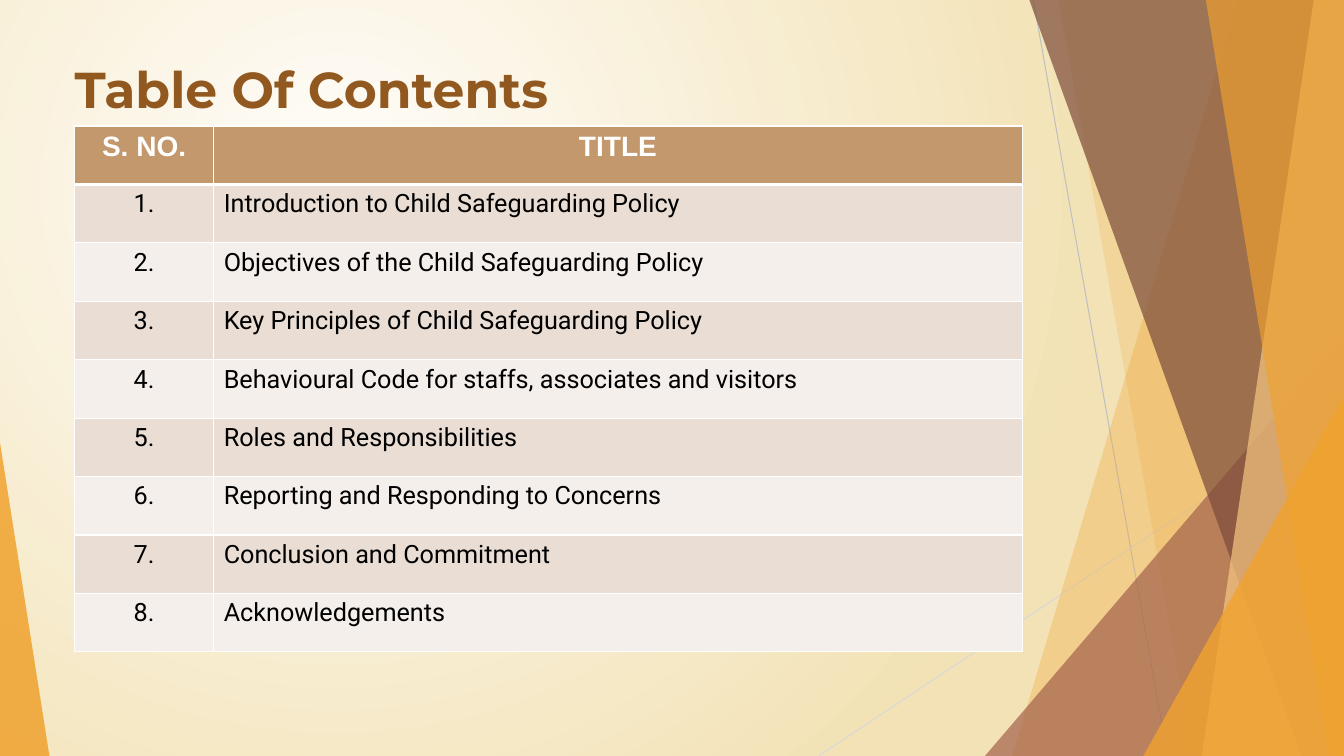
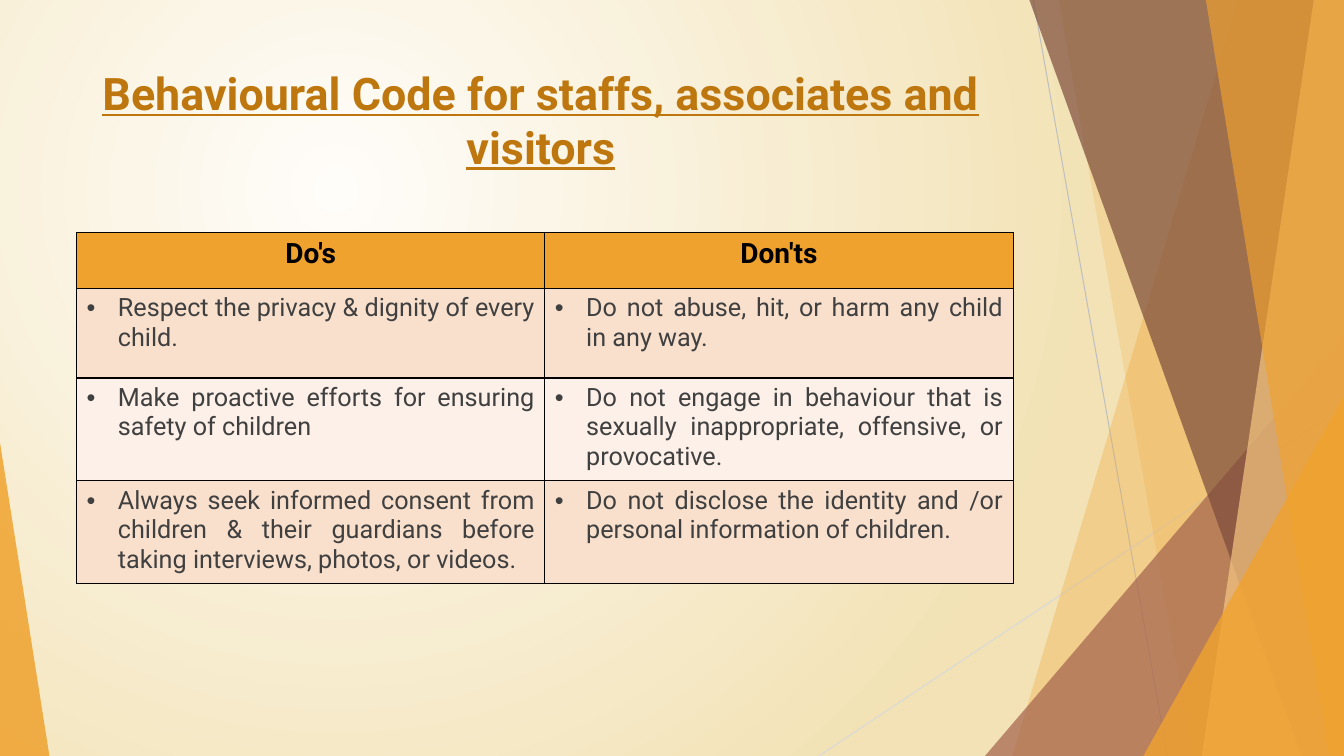
from lxml import etree
from pptx import Presentation
from pptx.dml.color import RGBColor
from pptx.enum.shapes import MSO_CONNECTOR, MSO_SHAPE
from pptx.enum.text import MSO_ANCHOR, MSO_AUTO_SIZE, PP_ALIGN
from pptx.oxml.ns import qn
from pptx.util import Inches, Pt

STRAIGHT = MSO_CONNECTOR.STRAIGHT
TRIANGLE = MSO_SHAPE.ISOSCELES_TRIANGLE
TOP, FIXED = MSO_ANCHOR.TOP, MSO_AUTO_SIZE.NONE
LEFT, CENTER, JUSTIFY = PP_ALIGN.LEFT, PP_ALIGN.CENTER, PP_ALIGN.JUSTIFY

AMBER, PALE_AMBER = "F0A22E", "F6C782"
BRICK, BROWN = "A5644E", "7C4B3B"
BLACK, WHITE, CHARCOAL = "000000", "FFFFFF", "404040"
BULLET_INDENT = Inches(0.31)

deck = Presentation()
deck.slide_width, deck.slide_height = Inches(13.33), Inches(7.5)
# All lengths below are percentages of the slide's width and height.
COLUMN, ROW = deck.slide_width / 100, deck.slide_height / 100


def place(*shares):
    """Turn alternating width and height percentages into lengths."""
    return [round(share * (ROW if index % 2 else COLUMN))
            for index, share in enumerate(shares)]


def paint(fill, colour, opacity=100):
    fill.solid()
    fill.fore_color.rgb = RGBColor.from_string(colour)
    if opacity < 100:
        element = fill._xPr.find(".//" + qn("a:srgbClr"))
        etree.SubElement(element, qn("a:alpha"), val=str(opacity * 1000))


# Shared background: a glow centred in the upper left
layout = deck.slide_layouts[5]
glow = layout.background.fill
glow.gradient()
for stop, position, colour in zip(glow.gradient_stops, (0, 1), ("FFFDFA", "F2E2B5")):
    stop.position = position
    stop.color.rgb = RGBColor.from_string(colour)
gradient = layout.element.find(".//" + qn("a:gradFill"))
gradient.remove(gradient.find(qn("a:lin")))
circle = etree.SubElement(gradient, qn("a:path"), path="circle")
etree.SubElement(circle, qn("a:fillToRect"), l="50000", t="50000", r="100000", b="100000")

# Shared decoration, drawn on the first page and then moved to the layout
first_page = deck.slides.add_slide(layout)
shapes = first_page.shapes
decoration = []

for ends, colour in [((76.89, 0, 86.87, 100), "BFBFBF"),
                     ((100, 53.73, 60.92, 100), "D9D9D9")]:
    line = shapes.add_connector(STRAIGHT, *place(*ends))
    line.line.width = Pt(0.75)
    paint(line.line.fill, colour)
    etree.SubElement(line.element.spPr, qn("a:effectLst"))
    decoration.append(line)

# A band is its left edge at top and bottom; a triangle is left, top, width, peak.
facets = [
    ("band", (92.12, 75.32), AMBER, 30),
    ("band", (78.77, 88.75), AMBER, 20),
    ("triangle", (73.29, 44.4, 26.71, 1), BRICK, 72),
    ("band", (76.59, 96.85), BROWN, 70),
    ("band", (97.75, 89.42), PALE_AMBER, 70),
    ("band", (89.72, 98.87), AMBER, 65),
    ("triangle", (85.07, 52.4, 14.93, 1), AMBER, 80),
    ("triangle", (0, 58.53, 3.68, 0), AMBER, 85),
]
for kind, geometry, colour, opacity in facets:
    if kind == "band":
        top_edge, bottom_edge = geometry
        outline = shapes.build_freeform(*place(top_edge, 0))
        outline.add_line_segments(
            [place(100, 0), place(100, 100), place(bottom_edge, 100)], close=True)
        facet = outline.convert_to_shape()
    else:
        left, top, width, peak = geometry
        facet = shapes.add_shape(TRIANGLE, *place(left, top, width, 100 - top))
        facet.adjustments[0] = peak
    facet.shadow.inherit = False
    facet.line.fill.background()
    paint(facet.fill, colour, opacity)
    decoration.append(facet)

for index, item in enumerate(decoration):
    item.element.find(".//" + qn("p:cNvPr")).set("id", str(20 + index))
    layout.shapes.element.insert(2 + index, item.element)

# Each page: a title and a table
topics = [
    "Introduction to Child Safeguarding Policy",
    "Objectives of the Child Safeguarding Policy",
    "Key Principles of Child Safeguarding Policy",
    "Behavioural Code for staffs, associates and visitors",
    "Roles and Responsibilities",
    "Reporting and Responding to Concerns",
    "Conclusion and Commitment",
    "Acknowledgements",
]
contents = {
    "title": "Table Of Contents",
    "title_box": (4.8, 7.07, 70.52, 19.2),
    "title_style": ("Montserrat", 36, "91581F", False, LEFT),
    "table_corner": (5.55, 16.67),
    "columns": [10.35, 60.16],
    "rows": [7.73] * 9,
    "cells": [("S. NO.", "TITLE")]
             + [(f"{number}.", topic) for number, topic in enumerate(topics, 1)],
    "header": ("Arial", WHITE, "C3986D"),
    "body_colour": BLACK,
    "body_fills": ("E9DDD4", "F5EFEB"),
    "body_alignment": (CENTER, LEFT),
    "bullets": False,
    "border": (WHITE, 1, 3),
}
code = {
    "title": topics[3],
    "title_box": (1.65, 8, 77.19, 15.6),
    "title_style": ("Roboto", 32, "BE770E", True, CENTER),
    "table_corner": (5.7, 30.8),
    "columns": [34.84, 34.84],
    "rows": [7.33, 11.87, 13.6, 13.6],
    "cells": [
        ("Do's", "Don'ts"),
        ("Respect the privacy & dignity of every child.",
         "Do not abuse, hit, or harm any child in any way."),
        ("Make proactive efforts for ensuring safety of children",
         "Do not engage in behaviour that is sexually inappropriate, offensive, or provocative."),
        ("Always seek informed consent from children & their guardians before taking "
         "interviews, photos, or videos.",
         "Do not disclose the identity and /or personal information of children."),
    ],
    "header": ("Roboto", BLACK, AMBER),
    "body_colour": CHARCOAL,
    "body_fills": ("F9E0CD", "FCF0E8"),
    "body_alignment": (JUSTIFY, JUSTIFY),
    "bullets": True,
    "border": (BLACK, 1, 1),
}

for page, content in [(first_page, contents), (deck.slides.add_slide(layout), code)]:
    title = page.shapes.title
    title.left, title.top, title.width, title.height = place(*content["title_box"])
    frame = title.text_frame
    frame.text = content["title"]
    frame.word_wrap, frame.auto_size, frame.vertical_anchor = True, FIXED, TOP
    font_name, size, colour, underline, alignment = content["title_style"]
    frame.paragraphs[0].alignment = alignment
    font = frame.paragraphs[0].runs[0].font
    font.name, font.size, font.bold, font.underline = font_name, Pt(size), True, underline
    paint(font.fill, colour)

    columns, rows = content["columns"], content["rows"]
    table = page.shapes.add_table(
        len(rows), len(columns),
        *place(*content["table_corner"], sum(columns), sum(rows))).table
    table.horz_banding = False
    for column, width in zip(table.columns, columns):
        column.width = round(width * COLUMN)
    for row, height in zip(table.rows, rows):
        row.height = round(height * ROW)

    header_font, header_colour, header_fill = content["header"]
    border_colour, thin, header_rule = content["border"]
    for row_index, texts in enumerate(content["cells"]):
        is_header = row_index == 0
        for column_index, text in enumerate(texts):
            cell = table.cell(row_index, column_index)
            cell.text = text
            properties = cell._tc.get_or_add_tcPr()
            widths = {"lnL": thin, "lnR": thin,
                      "lnT": header_rule if row_index == 1 else thin,
                      "lnB": header_rule if is_header else thin}
            for side, width in widths.items():
                border = etree.SubElement(properties, qn(f"a:{side}"), w=str(Pt(width)))
                solid = etree.SubElement(border, qn("a:solidFill"))
                etree.SubElement(solid, qn("a:srgbClr"), val=border_colour)
            paint(cell.fill, header_fill if is_header
                  else content["body_fills"][(row_index - 1) % 2])

            para = cell.text_frame.paragraphs[0]
            para.alignment = CENTER if is_header else content["body_alignment"][column_index]
            if content["bullets"] and not is_header:
                settings = para._p.get_or_add_pPr()
                settings.set("marL", str(BULLET_INDENT))
                settings.set("indent", str(-BULLET_INDENT))
                etree.SubElement(settings, qn("a:buFont"), typeface="Arial")
                etree.SubElement(settings, qn("a:buChar"), char="•")
            font = para.runs[0].font
            font.name = header_font if is_header else "Roboto"
            font.size = Pt(20 if is_header else 18)
            font.bold = is_header
            paint(font.fill, header_colour if is_header else content["body_colour"])

deck.save("out.pptx")
